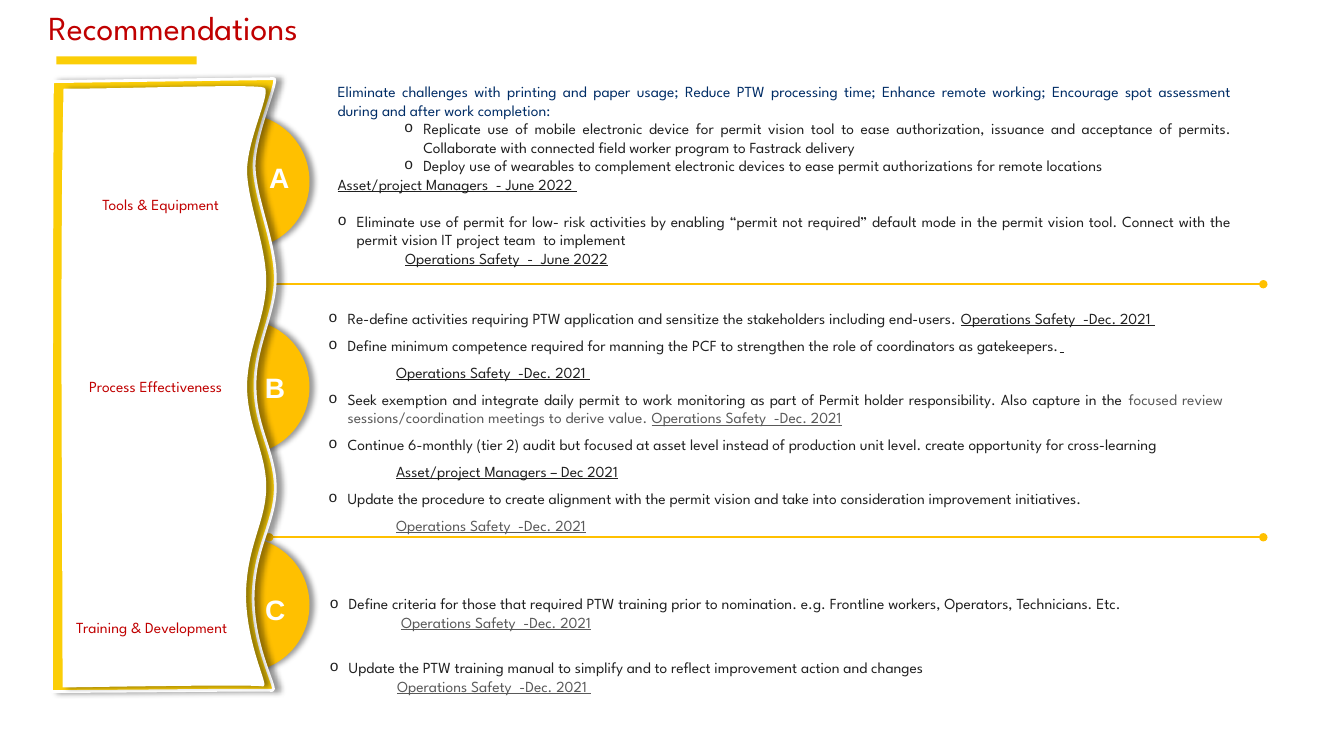
from lxml import etree
from pptx import Presentation
from pptx import util as u
from pptx.dml.color import RGBColor
from pptx.enum import shapes, text
from pptx.oxml import parse_xml
from pptx.oxml.ns import nsdecls, qn

PX = 9144  # 100 px to the inch
GOLD = RGBColor(0xFB, 0xCE, 0x07)
AMBER = RGBColor(0xFF, 0xC0, 0x00)
WHITE = RGBColor(0xFF, 0xFF, 0xFF)
RED = RGBColor(0xC0, 0x00, 0x00)
NAVY = RGBColor(0x00, 0x2D, 0x66)
INK = RGBColor(0x20, 0x20, 0x20)
GREY = RGBColor(0x59, 0x59, 0x59)
BODY_FONT = "League Spartan"
LINE_PT = 13.2  # height of one 11 pt line
JUSTIFY = text.PP_ALIGN.JUSTIFY
LEFT = text.PP_ALIGN.LEFT

# Each outline is a start point and cubic curves (two controls and an end).
GOLD_WAVE = ((271, 78), [
    (279, 75, 252, 132, 252, 165), (253, 198, 273, 240, 273, 276),
    (273, 312, 252, 343, 253, 384), (253, 424, 273, 449, 273, 484),
    (273, 519, 251, 544, 251, 595), (252, 647, 277, 686, 270, 685),
    (262, 684, 124, 686, 51, 686), (51, 485, 51, 283, 52, 81)])
WHITE_WAVE = ((262, 87), [
    (270, 90, 245, 138, 245, 170), (246, 202, 264, 244, 264, 279),
    (264, 315, 245, 345, 245, 385), (246, 424, 264, 449, 264, 483),
    (264, 518, 244, 542, 244, 592), (245, 643, 268, 682, 261, 681),
    (254, 679, 128, 681, 62, 682), (62, 484, 59, 289, 63, 88),
    (129, 88, 254, 83, 262, 87)])


def plain(words, color=INK):
    return words, color, False


def underlined(words, color=INK):
    return words, color, True


def bullet(*runs, left=19, **spacing):
    return dict(runs=runs, left=left, hang=19, **spacing)


def owner(words, color=INK, left=67, **spacing):
    """Underlined line naming who acts and when."""
    return dict(runs=[underlined(words, color)], left=left, **spacing)


TOOLS = [
    dict(runs=[plain("Eliminate challenges with printing and paper usage; Reduce PTW processing "
                     "time; Enhance remote working; Encourage spot assessment during and after "
                     "work completion:", NAVY)]),
    bullet(plain("Replicate use of mobile electronic device for permit vision tool to ease "
                 "authorization, issuance and acceptance of permits. Collaborate with connected "
                 "field worker program to Fastrack delivery "), left=85),
    bullet(plain("Deploy use of wearables to complement electronic devices to ease permit "
                 "authorizations for remote locations"), left=85),
    owner("Asset/project Managers  - June 2022 ", left=0),
    bullet(plain("Eliminate use of permit for low- risk activities by enabling “permit not "
                 "required” default mode in the permit vision tool. Connect with the permit "
                 "vision IT project team  to implement"), before=LINE_PT),
    owner("Operations Safety  -  June 2022"),
]
PROCESS = [
    bullet(plain("Re-define activities requiring PTW application and sensitize the stakeholders "
                 "including end-users. "), underlined("Operations Safety  -Dec. 2021 "), after=6),
    bullet(plain("Define minimum competence required for manning the PCF to strengthen the role "
                 "of coordinators as gatekeepers."), underlined(" "), after=6),
    owner("Operations Safety  -Dec. 2021 ", after=6),
    bullet(plain("Seek exemption and integrate daily permit to work monitoring as part of Permit "
                 "holder responsibility. Also capture in the "),
           plain("focused review sessions/coordination meetings to derive value. ", GREY),
           underlined("Operations Safety  -Dec. 2021", GREY), after=6),
    bullet(plain("Continue 6-monthly (tier 2) audit but focused at asset level instead of "
                 "production unit level. create opportunity for cross-learning"), after=6),
    owner("Asset/project Managers – Dec 2021", after=6),
    bullet(plain("Update the procedure to create alignment with the permit vision and take into "
                 "consideration improvement initiatives."), after=6),
    owner("Operations Safety  -Dec. 2021", GREY, align=LEFT, after=6),
]
TRAINING = [
    bullet(plain("Define criteria for those that required PTW training prior to nomination. e.g. "
                 "Frontline workers, Operators, Technicians. Etc.")),
    owner("Operations Safety  -Dec. 2021", GREY, left=71, align=LEFT, after=6),
    bullet(plain("Update the PTW training manual to simplify and to reflect improvement action "
                 "and changes "), before=LINE_PT),
    owner("Operations Safety  -Dec. 2021 ", GREY),
]


def box(*lengths):
    return [n * PX for n in lengths]


def add_run(p, words, size, color, font=BODY_FONT, bold=False, underline=False):
    r = p.add_run()
    r.text = words
    r.font.size = u.Pt(size)
    r.font.name = font
    r.font.bold = bold
    r.font.underline = underline
    r.font.color.rgb = color


def paint(sp, fill, shadow_dist=0):
    """Fill without outline, and cast a shadow to the right if asked."""
    sp.shadow.inherit = False
    sp.fill.solid()
    sp.fill.fore_color.rgb = fill
    sp.line.fill.background()
    if shadow_dist:
        effects = sp.element.spPr.find(qn("a:effectLst"))
        effects.append(parse_xml(
            f'<a:outerShdw {nsdecls("a")} blurRad="{u.Pt(4)}" dist="{u.Pt(shadow_dist)}" dir="0" '
            'algn="l" rotWithShape="0"><a:srgbClr val="000000"><a:alpha val="40000"/>'
            '</a:srgbClr></a:outerShdw>'))


def add_wave(s, outline, fill, shadow_dist):
    """Closed outline whose straight segments are turned into cubic curves."""
    start, curves = outline
    ends = [curve[4:] for curve in curves]
    builder = s.shapes.build_freeform(*start, scale=PX)
    builder.add_line_segments(ends, close=True)
    sp = builder.convert_to_shape()
    left, top = (min(values) for values in zip(start, *ends))
    segments = list(sp.element.spPr.iter(qn("a:lnTo")))
    for segment, curve in zip(segments, curves):
        segment.tag = qn("a:cubicBezTo")
        segment.clear()
        for x, y in zip(curve[::2], curve[1::2]):
            etree.SubElement(segment, qn("a:pt"), x=str(x - left), y=str(y - top))
    paint(sp, fill, shadow_dist)
    return sp


def add_text(s, place, words, size, color, align, **font):
    sp = s.shapes.add_textbox(*box(*place))
    tf = sp.text_frame
    tf.word_wrap = True
    tf.vertical_anchor = text.MSO_ANCHOR.MIDDLE
    p = tf.paragraphs[0]
    p.alignment = align
    add_run(p, words, size, color, **font)


def add_badge(s, letter, top, letter_left, letter_top, letter_width):
    sp = s.shapes.add_shape(shapes.MSO_SHAPE.OVAL, *box(173, top, 134, 134))
    paint(sp, AMBER, 3)
    add_text(s, (letter_left, letter_top, letter_width, 44), letter, 20, WHITE, LEFT,
             font="Arial", bold=True)


def add_divider(s, y):
    line = s.shapes.add_connector(shapes.MSO_CONNECTOR.STRAIGHT, *box(267, y, 1253, y))
    line.line.color.rgb = AMBER
    line.line.width = u.Pt(1.25)
    ln = line.element.spPr.find(qn("a:ln"))
    for end in ("a:headEnd", "a:tailEnd"):
        etree.SubElement(ln, qn(end), type="oval")
    etree.SubElement(line.element.spPr, qn("a:effectLst"))


def add_paragraph(p, runs, left=0, hang=0, align=JUSTIFY, before=0, after=0):
    p.alignment = align
    p.space_before = u.Pt(before)
    p.space_after = u.Pt(after)
    pPr = p._p.get_or_add_pPr()
    pPr.set("marL", str(left * PX))
    pPr.set("indent", str(-hang * PX))
    if hang:
        etree.SubElement(pPr, qn("a:buFont"), typeface="Courier New")
        etree.SubElement(pPr, qn("a:buChar"), char="o")
    for words, color, underline in runs:
        add_run(p, words, 11, color, underline=underline)


def add_actions(s, place, paragraphs, bottom_inset=5):
    sp = s.shapes.add_shape(shapes.MSO_SHAPE.ROUNDED_RECTANGLE, *box(*place))
    sp.adjustments[0] = 0
    sp.shadow.inherit = False
    sp.fill.background()
    sp.line.fill.background()
    tf = sp.text_frame
    tf.word_wrap = True
    tf.vertical_anchor = text.MSO_ANCHOR.MIDDLE
    tf.margin_bottom = bottom_inset * PX
    for i, paragraph in enumerate(paragraphs):
        add_paragraph(tf.add_paragraph() if i else tf.paragraphs[0], **paragraph)


def add_title(s, words):
    sp = s.shapes.title
    sp.left, sp.top, sp.width, sp.height = box(48, 7, 1222, 40)
    tf = sp.text_frame
    tf.margin_left = tf.margin_top = tf.margin_right = tf.margin_bottom = 0
    tf.vertical_anchor = text.MSO_ANCHOR.MIDDLE
    tf.paragraphs[0].alignment = LEFT
    add_run(tf.paragraphs[0], words, 24, RED)


def main():
    prs = Presentation()
    prs.slide_width, prs.slide_height = box(1333, 750)
    s = prs.slides.add_slide(prs.slide_layouts[5])
    add_title(s, "Recommendations")
    paint(s.shapes.add_shape(shapes.MSO_SHAPE.RECTANGLE, *box(56, 56, 139, 8)), GOLD)

    for badge in (("B", 317, 253, 362, 50), ("A", 113, 257, 154, 117), ("C", 533, 253, 582, 49)):
        add_badge(s, *badge)
    for y in (282, 533):
        add_divider(s, y)
    frame = add_wave(s, GOLD_WAVE, GOLD, 4)
    frame.line.color.rgb = WHITE
    frame.line.width = u.Pt(2)
    add_wave(s, WHITE_WAVE, WHITE, 3)

    for words, place in (("Tools & Equipment", (71, 191, 177, 24)),
                         ("Process Effectiveness", (60, 367, 189, 33)),
                         ("Training & Development", (51, 606, 199, 33))):
        add_text(s, place, words, 11, RED, text.PP_ALIGN.CENTER)
    add_actions(s, (325, 75, 907, 197), TOOLS)
    add_actions(s, (316, 293, 907, 251), PROCESS)
    add_actions(s, (317, 566, 908, 166), TRAINING, bottom_inset=23)
    prs.save("out.pptx")


if __name__ == "__main__":
    main()
